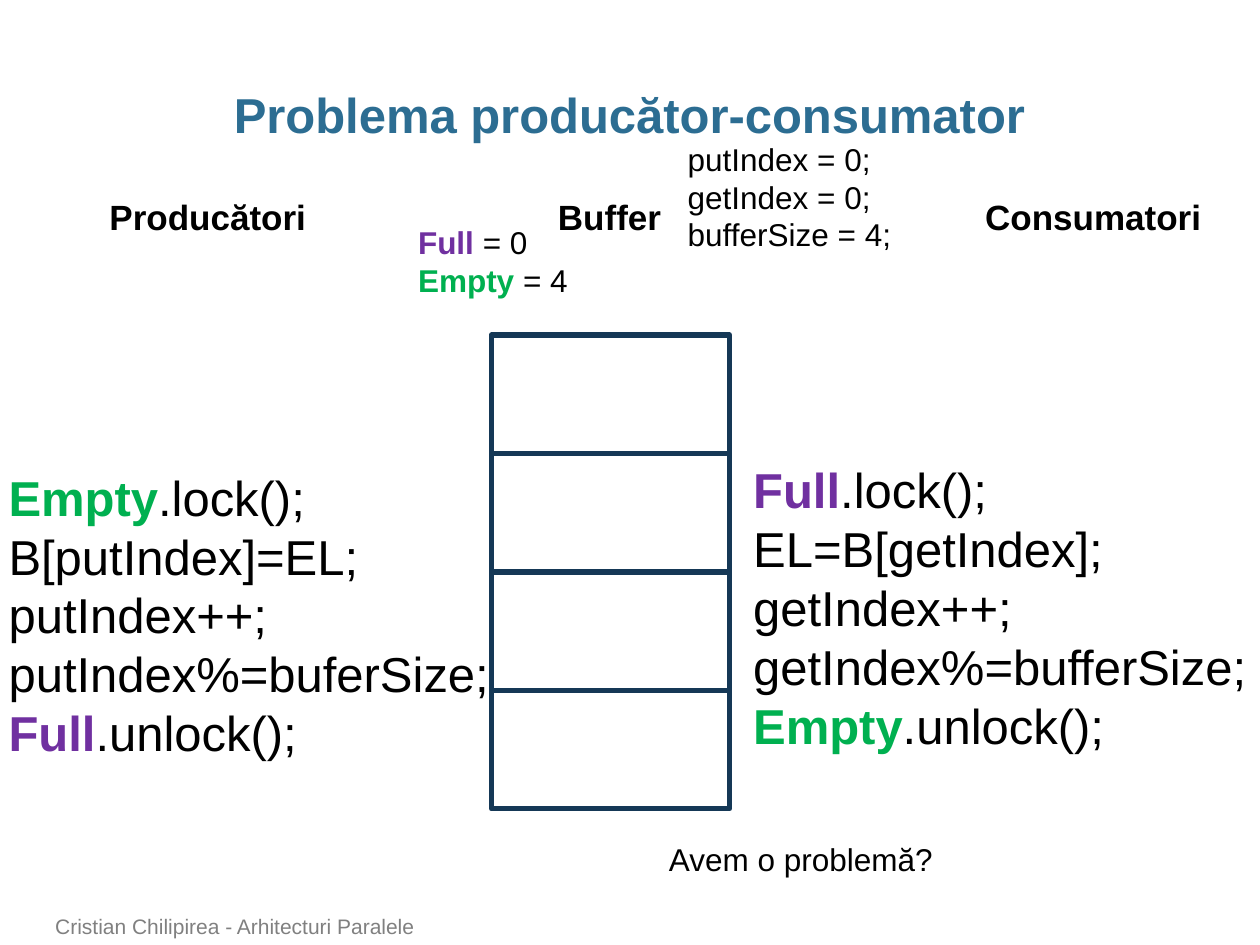
from dataclasses import dataclass

from pptx import Presentation
from pptx.dml.color import RGBColor as RGB
from pptx.enum.shapes import MSO_SHAPE as SHAPE
from pptx.enum.text import MSO_ANCHOR as ANCHOR, MSO_AUTO_SIZE as FIT, PP_ALIGN as ALIGN
from pptx.util import Inches, Pt


@dataclass(frozen=True)
class Theme:
    font: str = "Arial"
    title: str = "2C6D92"
    text: str = "000000"
    border: str = "153856"
    muted: str = "808080"
    full: str = "7030A0"
    empty: str = "00B050"
    large: int = 28
    heading: int = 20
    body: int = 18
    small: int = 12


THEME = Theme()
SEMAPHORES = {"Full": THEME.full, "Empty": THEME.empty}


def add_run(p, text, size=THEME.body, color=THEME.text, bold=False):
    r = p.add_run()
    r.text = text
    r.font.name = THEME.font
    r.font.size = Pt(size)
    r.font.bold = bold
    r.font.color.rgb = RGB.from_string(color)


class SlideBuilder:
    def __init__(self, prs, theme):
        self.theme = theme
        self.slide = prs.slides.add_slide(prs.slide_layouts[5])

    def title(self, text, x, y, w, h):
        sp = self.slide.shapes.title
        sp.left, sp.top, sp.width, sp.height = map(Inches, (x, y, w, h))
        tf = sp.text_frame
        tf.auto_size = FIT.NONE
        tf.vertical_anchor = ANCHOR.MIDDLE
        tf.margin_left = tf.margin_right = 0
        p = tf.paragraphs[0]
        p.alignment = ALIGN.CENTER
        p.line_spacing = 0.95
        add_run(p, text, size=self.theme.large, color=self.theme.title, bold=True)

    def text(self, lines, x, y, w, h, wrap=False, anchor=ANCHOR.TOP, **style):
        sp = self.slide.shapes.add_textbox(*map(Inches, (x, y, w, h)))
        tf = sp.text_frame
        tf.word_wrap = wrap
        tf.auto_size = FIT.NONE if wrap else FIT.SHAPE_TO_FIT_TEXT
        tf.vertical_anchor = anchor
        for i, line in enumerate(lines):
            p = tf.add_paragraph() if i else tf.paragraphs[0]
            name = next((s for s in SEMAPHORES if line.startswith(s)), "")
            if name:
                add_run(p, name, **{**style, "color": SEMAPHORES[name], "bold": True})
            add_run(p, line[len(name):], **style)

    def cell(self, x, y, w, h):
        sp = self.slide.shapes.add_shape(SHAPE.RECTANGLE, *map(Inches, (x, y, w, h)))
        sp.shadow.inherit = False
        sp.fill.background()
        sp.line.color.rgb = RGB.from_string(self.theme.border)
        sp.line.width = Pt(3)


def main():
    prs = Presentation()
    prs.slide_width, prs.slide_height = Inches(10), Inches(7.5)
    s = SlideBuilder(prs, THEME)

    s.title("Problema producător-consumator", 0.34, 0.68, 9.31, 0.5)

    for i in range(4):
        s.cell(3.9, 2.66 + 0.94 * i, 1.89, 0.94)

    for heading, x, w in (("Producători", 0.77, 1.78), ("Buffer", 4.33, 1.03),
                          ("Consumatori", 7.72, 1.93)):
        s.text([heading], x, 1.5, w, 0.44, size=THEME.heading, bold=True)

    producer = ["Empty.lock();", "B[putIndex]=EL;", "putIndex++;",
                "putIndex%=buferSize;", "Full.unlock();"]
    consumer = ["Full.lock();", "EL=B[getIndex];", "getIndex++;",
                "getIndex%=bufferSize;", "Empty.unlock();"]
    s.text(producer, -0.03, 3.66, 4.06, 2.46, size=THEME.large)
    s.text(consumer, 5.88, 3.6, 4.16, 2.46, size=THEME.large)

    s.text(["Full = 0", "Empty = 4"], 3.22, 1.72, 1.4, 0.71)
    s.text(["Avem o problemă?"], 5.21, 6.62, 2.32, 0.4)
    s.text(["Cristian Chilipirea - Arhitecturi Paralele"], 0.34, 7.22, 7.37, 0.28,
           wrap=True, anchor=ANCHOR.BOTTOM, size=THEME.small, color=THEME.muted)
    s.text(["putIndex = 0;", "getIndex = 0;", "bufferSize = 4;"], 5.36, 1.06, 1.83, 1.01)

    prs.save("out.pptx")


if __name__ == "__main__":
    main()
